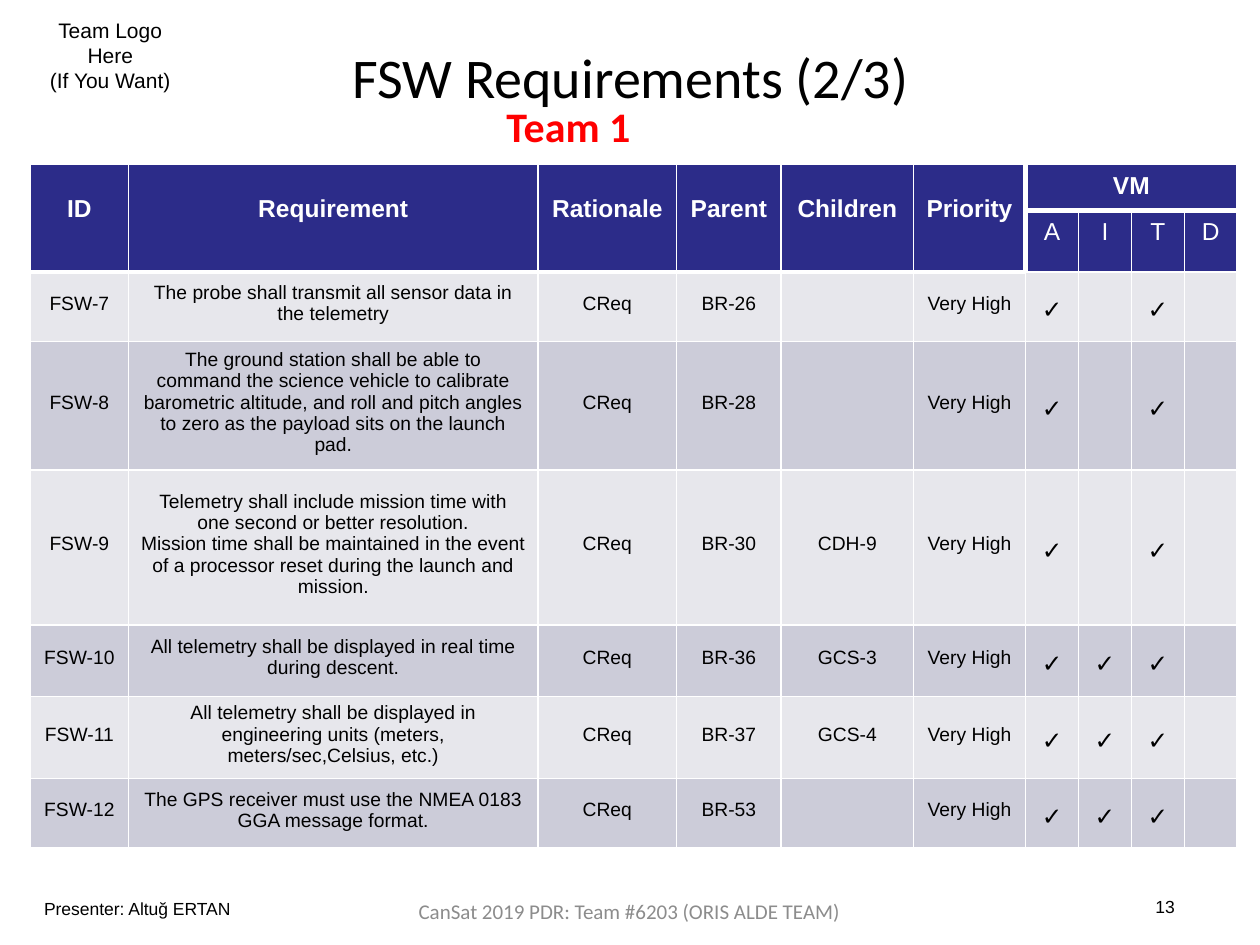
from lxml.etree import SubElement
from pptx import Presentation
from pptx.dml.color import RGBColor
from pptx.enum.text import MSO_ANCHOR, PP_ALIGN
from pptx.oxml.ns import qn
from pptx.util import Inches, Pt

WHITE, BLACK, NAVY = "FFFFFF", "000000", "2C2C89"
BANDS = ["E7E7EC", "CCCCD9"]


def color(value):
    return RGBColor.from_string(value)


def write(frame, text, size, font, fill, align=PP_ALIGN.CENTER, bold=False, spacing=None):
    frame.word_wrap = True
    for index, content in enumerate(text.split("\n")):
        paragraph = frame.paragraphs[0] if index == 0 else frame.add_paragraph()
        paragraph.alignment = align
        if spacing:
            paragraph.line_spacing = Pt(spacing)
        for part, line in enumerate(content.split("|")):
            if part:
                paragraph.add_line_break()
            run = paragraph.add_run()
            run.text = line
            run.font.size = Pt(size)
            run.font.name = font
            run.font.bold = bold
            run.font.color.rgb = color(fill)


prs = Presentation()
prs.slide_width, prs.slide_height = Inches(10), Inches(7.5)
slide = prs.slides.add_slide(prs.slide_layouts[6])

left, center = PP_ALIGN.LEFT, PP_ALIGN.CENTER
labels = [
    ((0.38, 0.14, 0.99, 0.59), "Team Logo\nHere\n(If You Want)", 12, "Arial", BLACK, center, False, 14.3),
    ((1.84, 0.34, 6.33, 0.55), "FSW Requirements (2/3)", 32, "Calibri", BLACK, center, False, None),
    ((9.17, 7.11, 0.27, 0.18), "13", 10, "Arial", BLACK, left, False, None),
    ((0.35, 7.13, 1.56, 0.18), "Presenter: Altuğ ERTAN", 10, "Arial", BLACK, left, False, None),
    ((3.32, 7.13, 3.35, 0.18), "CanSat 2019 PDR: Team #6203 (ORIS ALDE TEAM)", 12, "Calibri", "8C8C8C", center, False, None),
    ((4.02, 0.8, 1.8, 0.4), "Team 1", 24, "Calibri", "FF0000", left, True, None),
]
for box, *style in labels:
    frame = slide.shapes.add_textbox(*map(Inches, box)).text_frame
    frame.margin_left = frame.margin_right = frame.margin_top = frame.margin_bottom = 0
    write(frame, *style)

headings = ["ID", "Requirement", "Rationale", "Parent", "Children", "Priority"]
methods = "AITD"
requirements = [
    ("FSW-7", "The probe shall transmit all sensor data in|the telemetry", "BR-26", "", "AT"),
    ("FSW-8", "The ground station shall be able to|command the science vehicle to calibrate|"
     "barometric altitude, and roll and pitch angles|to zero as the payload sits on the launch|pad.", "BR-28", "", "AT"),
    ("FSW-9", "Telemetry shall include mission time with|one second or better resolution.\n"
     "Mission time shall be maintained in the event|of a processor reset during the launch and|mission.",
     "BR-30", "CDH-9", "AT"),
    ("FSW-10", "All telemetry shall be displayed in real time|during descent.", "BR-36", "GCS-3", "AIT"),
    ("FSW-11", "All telemetry shall be displayed in|engineering units (meters,|meters/sec,Celsius, etc.)",
     "BR-37", "GCS-4", "AIT"),
    ("FSW-12", "The GPS receiver must use the NMEA 0183|GGA message format.", "BR-53", "", "AIT"),
]
rows = [headings + ["VM", "", "", ""], [""] * len(headings) + list(methods)]
for name, requirement, parent, child, checked in requirements:
    marks = ["✓" if method in checked else "" for method in methods]
    rows.append([name, requirement, "CReq", parent, child, "Very High"] + marks)

widths = [0.78, 3.25, 1.1, 0.83, 1.05, 0.89] + [0.42] * 4
heights = [0.37, 0.49, 0.55, 1.02, 1.23, 0.57, 0.65, 0.55]
table = slide.shapes.add_table(
    len(rows), len(widths), Inches(0.24), Inches(1.3), Inches(sum(widths)), Inches(sum(heights))
).table
for column, width in zip(table.columns, widths):
    column.width = Inches(width)
for row, height in zip(table.rows, heights):
    row.height = Inches(height)

split = len(headings)
for r, row in enumerate(rows):
    for c, text in enumerate(row):
        cell = table.cell(r, c)
        header, method = r < 2, c >= split
        cell.margin_left = cell.margin_right = cell.margin_top = cell.margin_bottom = 0
        cell.vertical_anchor = MSO_ANCHOR.MIDDLE
        if header:
            cell.margin_bottom = Inches(0.02 if method and r == 0 else 0.15)
        elif method:
            cell.margin_top = Inches(0.04)
        else:
            cell.margin_bottom = Inches(0.05)
        if text and header:
            write(cell.text_frame, text, 14, "Arial", WHITE, bold=r == 0)
        elif text and method:
            write(cell.text_frame, text, 14, "Noto Sans", BLACK)
        elif text:
            write(cell.text_frame, text, 11, "Arial", BLACK, spacing=12.2)

        thick = {
            "lnL": header and c == split,
            "lnR": header and c == split - 1,
            "lnT": r == (1 if method else 2),
            "lnB": r == 0 if method else header,
        }
        properties = cell._tc.get_or_add_tcPr()
        for side, heavy in thick.items():
            border = SubElement(properties, qn("a:" + side), w=str(Pt(3 if heavy else 1)))
            SubElement(SubElement(border, qn("a:solidFill")), qn("a:srgbClr"), val=WHITE)
        cell.fill.solid()
        cell.fill.fore_color.rgb = color(NAVY if header else BANDS[r % 2])

for c in range(split):
    table.cell(0, c).merge(table.cell(1, c))
table.cell(0, split).merge(table.cell(0, len(widths) - 1))

prs.save("out.pptx")
